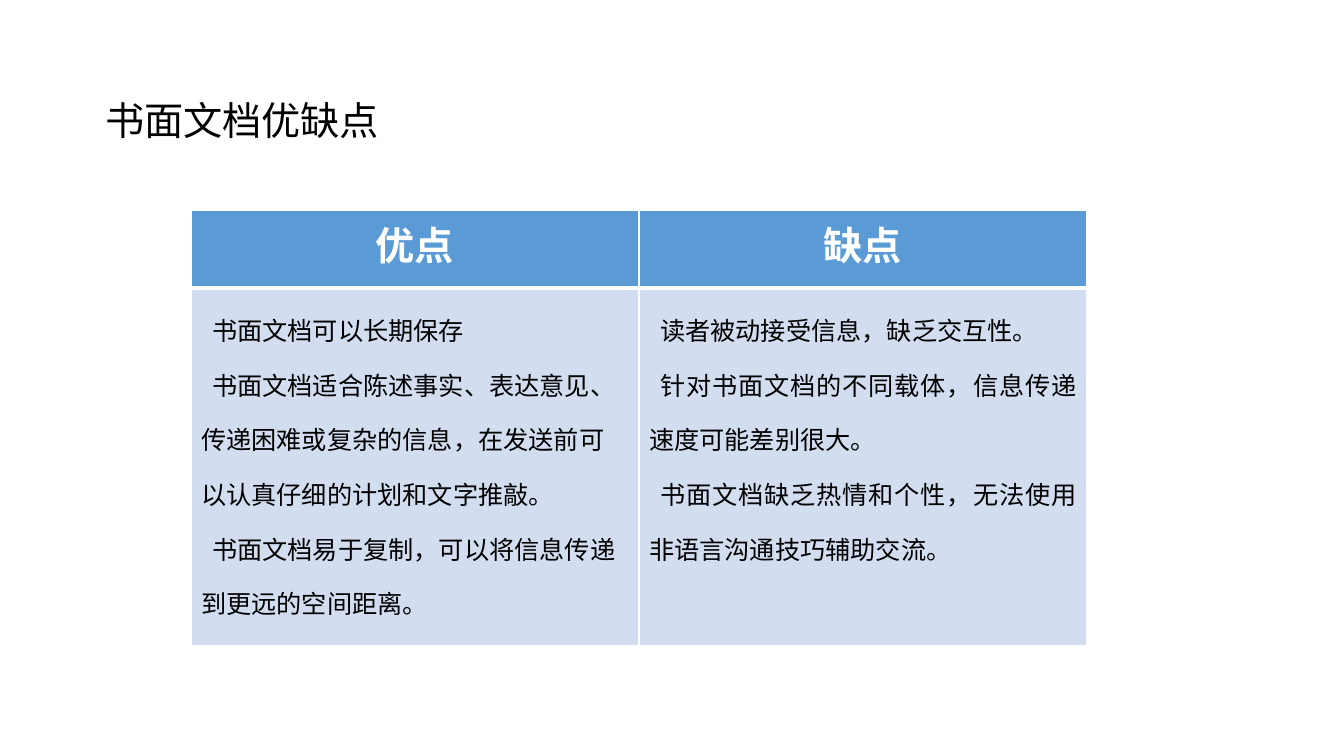
import pptx
import pptx.dml.color
import pptx.enum.text
import pptx.oxml.ns
import pptx.util
from lxml import etree

PX = 914400 / 100.8
FONT = "Noto Sans CJK SC"
ALIGN = pptx.enum.text.PP_ALIGN
A = pptx.oxml.ns.qn


def px(n):
    return pptx.util.Emu(round(n * PX))


def write(p, text, size, color, bold=False, align=ALIGN.LEFT):
    p.alignment = align
    r = p.add_run()
    r.text = text
    r.font.size = pptx.util.Pt(size)
    r.font.bold = bold
    r.font.color.rgb = pptx.dml.color.RGBColor.from_string(color)
    r.font.name = FONT
    etree.SubElement(r.font._element, A("a:ea"), typeface=FONT)


prs = pptx.Presentation()
prs.slide_width, prs.slide_height = px(1344), px(756)
s = prs.slides.add_slide(prs.slide_layouts[5])

title = s.shapes.title
title.left, title.top, title.width, title.height = px(95), px(91), px(352), px(57)
tf = title.text_frame
tf.vertical_anchor = pptx.enum.text.MSO_ANCHOR.TOP
write(tf.paragraphs[0], "书面文档优缺点", 28, "000000")

columns = [
    ("优点", ALIGN.LEFT, [
        "书面文档可以长期保存",
        "书面文档适合陈述事实、表达意见、传递困难或复杂的信息，在发送前可以认真仔细的计划和文字推敲。",
        "书面文档易于复制，可以将信息传递到更远的空间距离。",
    ]),
    ("缺点", ALIGN.JUSTIFY, [
        "读者被动接受信息，缺乏交互性。",
        "针对书面文档的不同载体，信息传递速度可能差别很大。",
        "书面文档缺乏热情和个性，无法使用非语言沟通技巧辅助交流。",
    ]),
]
table = s.shapes.add_table(2, 2, px(191), px(210), px(896), px(436)).table
table.horz_banding = False
table.rows[0].height, table.rows[1].height = px(78), px(358)

for col, (heading, align, points) in enumerate(columns):
    header, body = table.cell(0, col), table.cell(1, col)
    write(header.text_frame.paragraphs[0], heading, 28, "FFFFFF", bold=True, align=ALIGN.CENTER)
    tf = body.text_frame
    for i, point in enumerate(points):
        p = tf.add_paragraph() if i else tf.paragraphs[0]
        p.line_spacing = 1.5
        p._p.get_or_add_pPr().set("indent", str(px(11)))
        write(p, point, 18, "000000", align=align)

    for cell, fill, thick in ((header, "5B9BD5", "lnB"), (body, "D2DEEF", "lnT")):
        tcPr = cell._tc.get_or_add_tcPr()
        for side in ("lnL", "lnR", "lnT", "lnB"):
            width = pptx.util.Pt(3 if side == thick else 1)
            ln = etree.SubElement(tcPr, A("a:" + side), w=str(width))
            solid = etree.SubElement(ln, A("a:solidFill"))
            etree.SubElement(solid, A("a:srgbClr"), val="FFFFFF")
        cell.fill.solid()
        cell.fill.fore_color.rgb = pptx.dml.color.RGBColor.from_string(fill)

prs.save("out.pptx")
